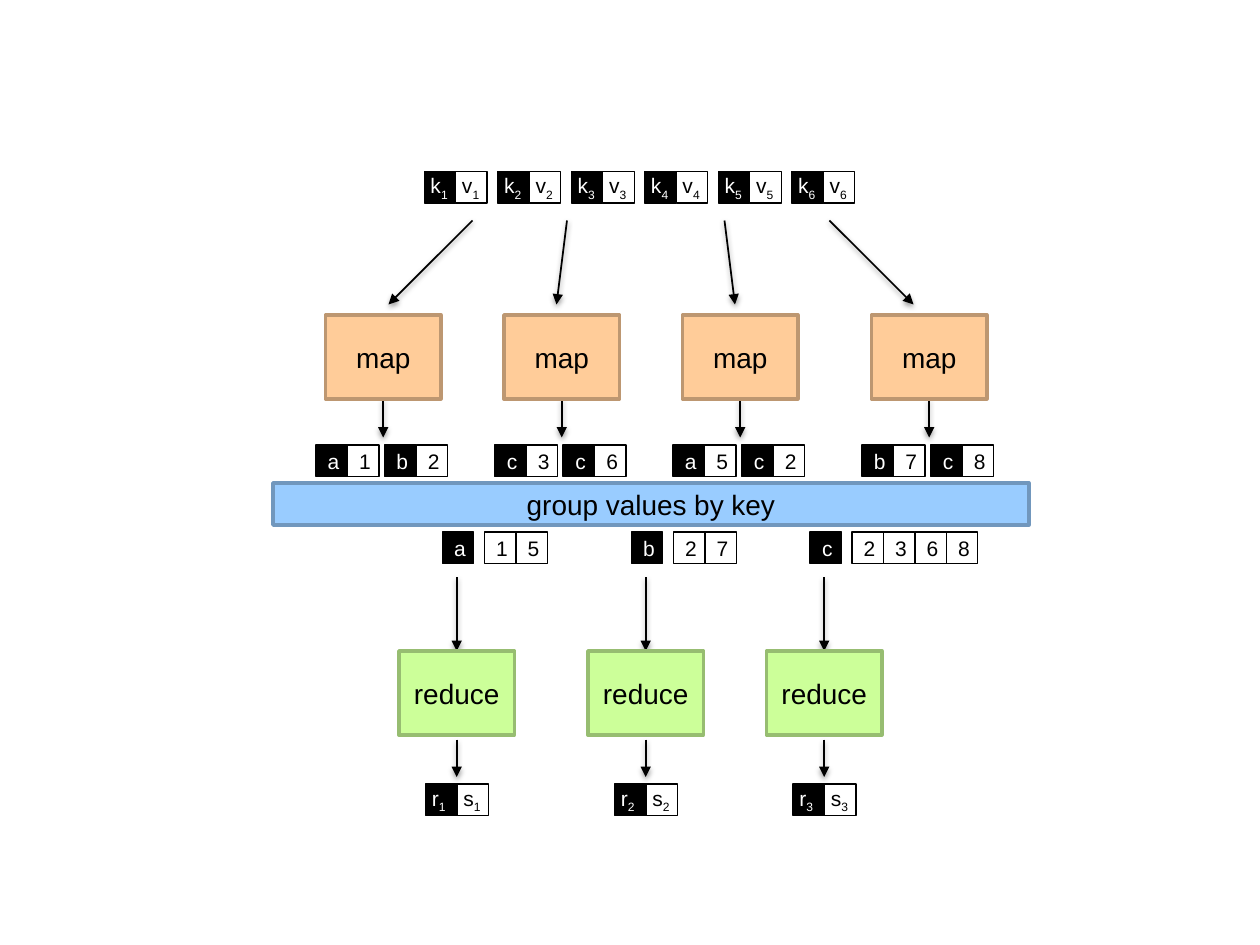
from dataclasses import dataclass

import lxml.etree
import pptx
import pptx.dml.color
import pptx.enum.shapes
import pptx.enum.text
import pptx.oxml
import pptx.oxml.ns
import pptx.util

Pt = pptx.util.Pt
RECT = pptx.enum.shapes.MSO_SHAPE.RECTANGLE
ALIGN = pptx.enum.text.PP_ALIGN


@dataclass(frozen=True)
class Theme:
    font: str = "Arial"
    black: str = "000000"
    white: str = "FFFFFF"
    map: tuple = ("FFCC99", "BD9771")
    group: tuple = ("99CCFF", "7197BD")
    reduce: tuple = ("CCFF99", "97BD71")
    label_size: float = 16
    cell_size: float = 12
    box_line: float = 2
    cell_line: float = 0.75
    arrow_line: float = 1


THEME = Theme()
CELL = 18
BOX_W, BOX_H = 66, 48
MAP_Y, REDUCE_Y = 180, 372
EFFECTS = (
    '<a:effectLst xmlns:a="http://schemas.openxmlformats.org/drawingml/2006/main">'
    '<a:outerShdw blurRad="39370" dist="20320" dir="5400000" rotWithShape="0">'
    '<a:srgbClr val="000000"><a:alpha val="38000"/></a:srgbClr>'
    '</a:outerShdw></a:effectLst>'
)


def rgb(value):
    return pptx.dml.color.RGBColor.from_string(value)


def add_rect(shapes, x, y, w, h, fill, line, width):
    """Add a rectangle without insets; fill None leaves it open."""
    sp = shapes.add_shape(RECT, Pt(x), Pt(y), Pt(w), Pt(h))
    sp.shadow.inherit = False
    if fill:
        sp.fill.solid()
        sp.fill.fore_color.rgb = rgb(fill)
    else:
        sp.fill.background()
    sp.line.color.rgb = rgb(line)
    sp.line.width = Pt(width)
    tf = sp.text_frame
    tf.margin_left = tf.margin_right = tf.margin_top = tf.margin_bottom = 0
    tf.vertical_anchor = pptx.enum.text.MSO_ANCHOR.MIDDLE
    tf.word_wrap = False
    return sp


def style_run(r, size, color):
    r.font.name = THEME.font
    r.font.size = Pt(size)
    r.font.color.rgb = rgb(color)


def add_box(shapes, x, y, w, h, text, colors):
    sp = add_rect(shapes, x, y, w, h, *colors, THEME.box_line)
    p = sp.text_frame.paragraphs[0]
    p.text = text
    p.alignment = ALIGN.CENTER
    style_run(p.runs[0], THEME.label_size, THEME.black)


def add_cell(shapes, x, y, text, is_key=False):
    """Add a key or value cell; a second character becomes a subscript."""
    sp = add_rect(shapes, x, y, CELL, CELL, THEME.black if is_key else None,
                  THEME.black, THEME.cell_line)
    tf = sp.text_frame
    p = tf.paragraphs[0]
    p.text = text[0]
    for subscript in text[1:]:
        r = p.add_run()
        r.text = subscript
        r.font._element.set("baseline", "-25000")
    p.alignment = ALIGN.LEFT if len(text) > 1 else ALIGN.CENTER
    tf.margin_left = Pt(3.6 if len(text) > 1 else 2)
    for r in p.runs:
        style_run(r, THEME.cell_size, THEME.white if is_key else THEME.black)


def add_record(shapes, x, y, key, values, gap=0):
    """Add a key cell followed by its value cells."""
    add_cell(shapes, x, y, key, is_key=True)
    for i, value in enumerate(values):
        add_cell(shapes, x + CELL + gap + i * CELL, y, value)


def add_pairs(slide, x, y, pairs, step):
    group = slide.shapes.add_group_shape()
    for i, (key, value) in enumerate(pairs):
        add_record(group.shapes, x + i * step, y, key, [value])


def add_arrow(slide, x1, y1, x2, y2):
    cx = slide.shapes.add_connector(
        pptx.enum.shapes.MSO_CONNECTOR.STRAIGHT, Pt(x1), Pt(y1), Pt(x2), Pt(y2))
    cx.line.color.rgb = rgb(THEME.black)
    cx.line.width = Pt(THEME.arrow_line)
    ln = cx.line._get_or_add_ln()
    lxml.etree.SubElement(ln, pptx.oxml.ns.qn("a:tailEnd"), type="triangle")
    cx._element.spPr.append(pptx.oxml.parse_xml(EFFECTS))


def add_map_stage(slide, x, feed_x, feed_tip_x, pairs):
    center = x + BOX_W / 2
    add_arrow(slide, feed_x, 126, feed_tip_x, 174)
    add_arrow(slide, center, MAP_Y + BOX_H, center, 250)
    add_box(slide.shapes, x, MAP_Y, BOX_W, BOX_H, "map", THEME.map)
    add_pairs(slide, x - 5.4, 254.2, pairs, step=39.2)


def add_reduce_stage(slide, x, key, values, result):
    center = x + BOX_W / 2
    add_arrow(slide, center, 330, center, REDUCE_Y)
    add_arrow(slide, center, 422.6, center, 444)
    add_box(slide.shapes, x, REDUCE_Y, BOX_W, BOX_H, "reduce", THEME.reduce)
    group = slide.shapes.add_group_shape()
    add_record(group.shapes, x + 24.8, 304, key, values, gap=6)
    add_pairs(slide, x + 15.2, 448, [result], step=0)


def main():
    prs = pptx.Presentation()
    prs.slide_width, prs.slide_height = Pt(720), Pt(540)
    slide = prs.slides.add_slide(prs.slide_layouts[6])

    inputs = [(f"k{i}", f"v{i}") for i in range(1, 7)]
    add_pairs(slide, 242.4, 98, inputs, step=42)

    for stage in (
        (186, 270, 222, ("a1", "b2")),
        (288, 324, 318, ("c3", "c6")),
        (390, 414, 420, ("a5", "c2")),
        (498, 474, 522, ("b7", "c8")),
    ):
        add_map_stage(slide, *stage)

    add_box(slide.shapes, 156, 276, 432, 24, "group values by key", THEME.group)

    reductions = ((228, "a", "15"), (336, "b", "27"), (438, "c", "2368"))
    for i, (x, key, values) in enumerate(reductions, start=1):
        add_reduce_stage(slide, x, key, values, (f"r{i}", f"s{i}"))

    prs.save("out.pptx")


if __name__ == "__main__":
    main()
